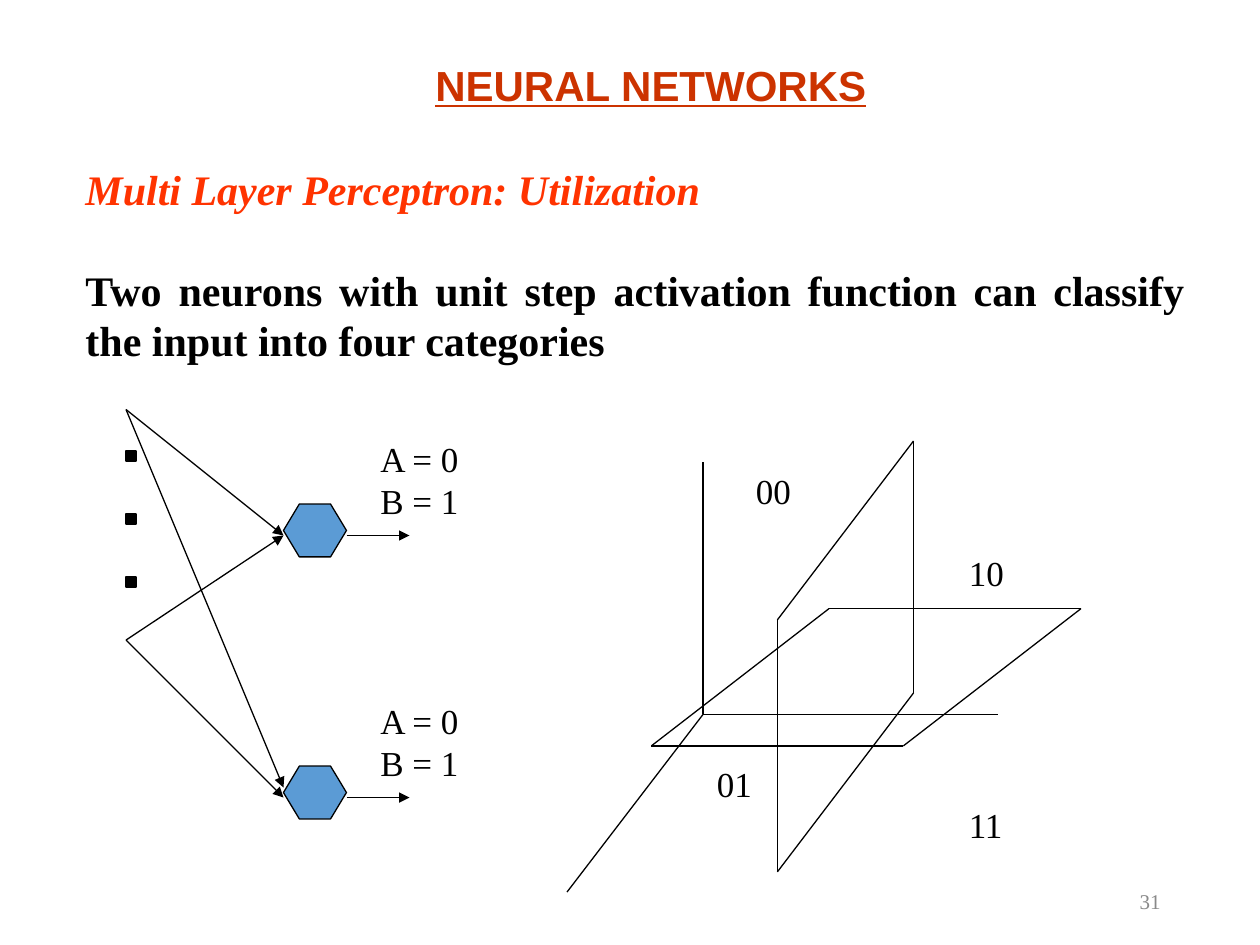
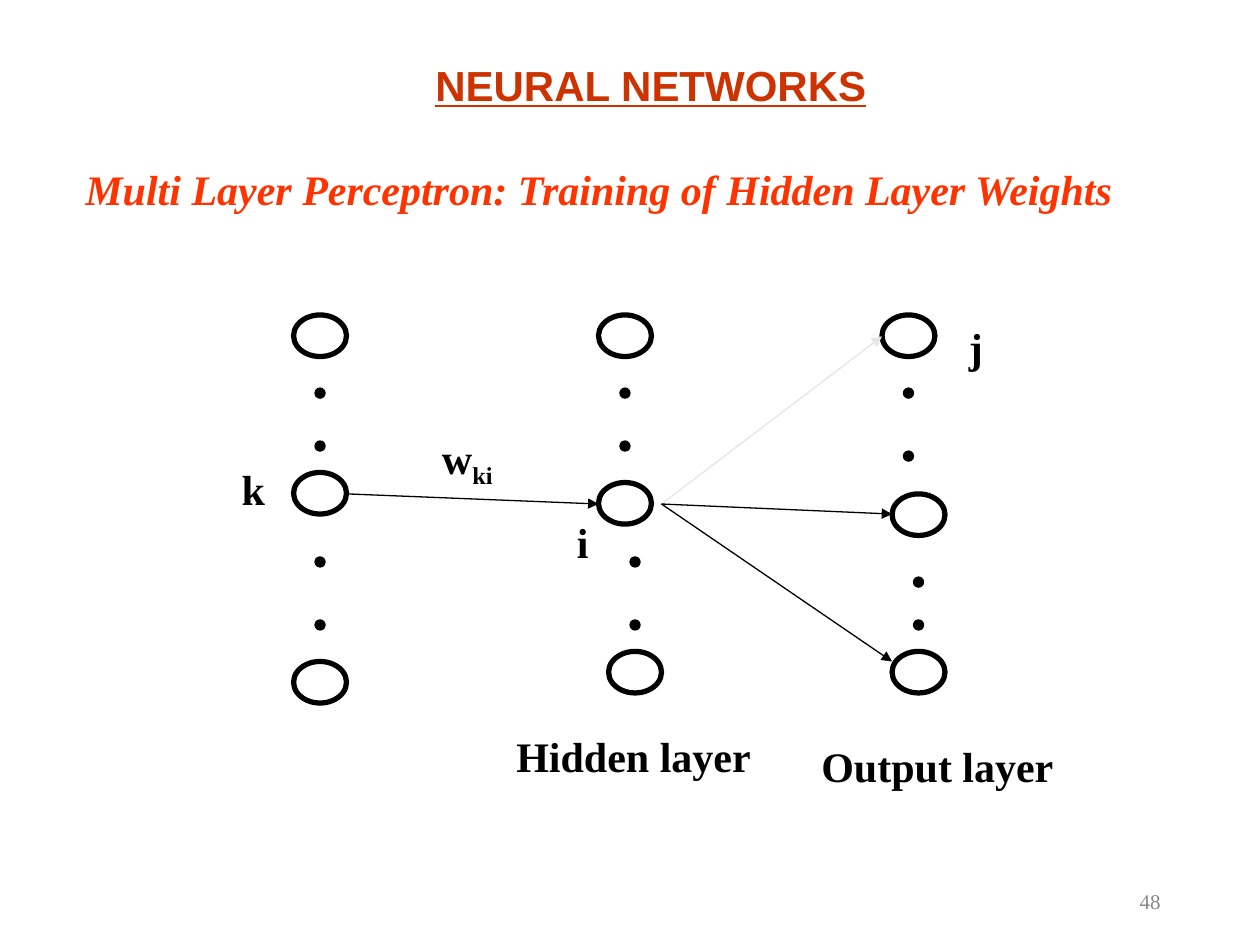
from itertools import pairwise
from lxml import etree
from pptx import Presentation
from pptx.dml.color import RGBColor as RGB
from pptx.enum import shapes, text
from pptx.oxml.ns import qn
from pptx.util import Inches, Pt

HUES = {"title": "CC3300", "head": "FF3300", "ink": "000000",
        "node": "5B9BD5", "page": "898989", "faint": "E7E6E6"}
SERIF = "Times New Roman"
KIND = shapes.MSO_SHAPE
SIDE = text.PP_ALIGN


def write(slide, box, lines, size=24, hue="ink", bold=False, face=SERIF,
          side=SIDE.LEFT, wrap=False):
    shape = slide.shapes.add_textbox(*map(Inches, box))
    frame = shape.text_frame
    frame.word_wrap = wrap
    frame.auto_size = text.MSO_AUTO_SIZE.SHAPE_TO_FIT_TEXT
    frame.text = lines
    for para in frame.paragraphs:
        para.alignment = side
        font = para.font
        font.name, font.size, font.bold = face, Pt(size), bold
        font.color.rgb = RGB.from_string(HUES[hue])
    return frame


def draw(slide, start, end, arrow=False, hue="ink"):
    line = slide.shapes.add_connector(
        shapes.MSO_CONNECTOR.STRAIGHT, *map(Inches, start + end))
    line.line.color.rgb = RGB.from_string(HUES[hue])
    line.line.width = Pt(0.75)
    props = line._element.spPr
    if arrow:
        etree.SubElement(props.find(qn("a:ln")), qn("a:tailEnd"), type="triangle")
    etree.SubElement(props, qn("a:effectLst"))


deck = Presentation()
deck.slide_width, deck.slide_height = Inches(10), Inches(7.5)

# Page number, title and heading on each slide
heads = []
for num, head, width in [
        ("31", "Multi Layer Perceptron: Utilization", 8.92),
        ("48", "Multi Layer Perceptron: Training of Hidden Layer Weights", 9)]:
    slide = deck.slides.add_slide(deck.slide_layouts[6])
    page = write(slide, (7.06, 6.95, 2.25, 0.4), num, 12, "page",
                 side=SIDE.RIGHT, wrap=True)
    page.auto_size = text.MSO_AUTO_SIZE.NONE
    page.vertical_anchor = text.MSO_ANCHOR.MIDDLE
    title = write(slide, (1.25, 0.42, 7.83, 0.5), "NEURAL NETWORKS", 24, "title",
                  True, "Arial", SIDE.CENTER, True)
    title.paragraphs[0].font.underline = True
    frame = write(slide, (0.58, 1.25, width, 0.5), head, 24, "head", True,
                  side=SIDE.JUSTIFY, wrap=True)
    frame.paragraphs[0].font.italic = True
    heads.append(frame)
use, train = deck.slides

# Claim under the first heading
claim = heads[0].add_paragraph()
claim.text = ("Two neurons with unit step activation function can classify "
              "the input into four categories")
claim.alignment = SIDE.JUSTIFY
claim.space_before = Pt(28.8)
claim.font.name, claim.font.size, claim.font.bold = SERIF, Pt(24), True
claim.font.color.rgb = RGB.from_string(HUES["ink"])
use.shapes[2].height = Inches(1.7)

# Neurons, nodes and dots: slide, kind, width, height, fill, line width, places
rows = (4, 6.08)
nodes = [(2.33, 2.5), (2.33, 3.75), (2.33, 5.25),
         (4.75, 2.5), (4.75, 3.83), (4.83, 5.17),
         (7, 2.5), (7.08, 3.92), (7.08, 5.17)]
dots = [(2.5, 3.08), (2.5, 3.5), (2.5, 4.42), (2.5, 4.92),
        (4.92, 3.08), (4.92, 3.5), (5, 4.42), (5, 4.92),
        (7.17, 3.08), (7.17, 3.58), (7.25, 4.58), (7.25, 4.92)]
for slide, kind, wide, high, fill, rim, spots in [
        (use, KIND.HEXAGON, 0.5, 0.42, "node", 0.75, [(2.25, y) for y in rows]),
        (use, KIND.RECTANGLE, 0.08, 0.08, "ink", 0.75,
         [(1, 3.58 + 0.5 * i) for i in range(3)]),
        (train, KIND.OVAL, 0.42, 0.33, None, 3, nodes),
        (train, KIND.OVAL, 0.08, 0.08, "ink", 0.75, dots)]:
    for x, y in spots:
        mark = slide.shapes.add_shape(kind, *map(Inches, (x, y, wide, high)))
        mark.shadow.inherit = False
        if kind == KIND.HEXAGON:
            mark.adjustments[0] = 0.3
        if fill:
            mark.fill.solid()
            mark.fill.fore_color.rgb = RGB.from_string(HUES[fill])
        else:
            mark.fill.background()
        mark.line.color.rgb = RGB.from_string(HUES["ink"])
        mark.line.width = Pt(rim)

# Inputs and outputs of the two neurons
for y in rows:
    draw(use, (2.75, y + 0.25), (3.25, y + 0.25), True)
    write(use, (2.92, y - 0.58, 0.83, 0.77), "A = 0\nB = 1", 20)
for start, ends in [(3.25, (4.25, 6.25)), (5.08, (4.25, 6.33))]:
    for end in ends:
        draw(use, (1, start), (2.25, end), True)

# Axes of the input space
for end in [(5.58, 3.67), (7.92, 5.67), (4.5, 7.08)]:
    draw(use, (5.58, 5.67), end)

# Two planes that cut it into four categories
for plane in [[(7.25, 3.5), (6.17, 4.92), (6.17, 6.92), (7.25, 5.5)],
              [(8.58, 4.83), (7.17, 5.92), (5.17, 5.92), (6.58, 4.83)]]:
    for start, end in pairwise(plane + plane[:1]):
        draw(use, start, end)
for code, x, y in [("00", 5.9, 3.68), ("10", 7.59, 4.33),
                   ("01", 5.59, 6), ("11", 7.59, 6.33)]:
    write(use, (x, y, 0.48, 0.44), code, 20)

# Weights between the layers
draw(train, (2.75, 3.92), (4.75, 4), True)
for end, hue in [((7, 2.67), "faint"), ((7.08, 4.08), "ink"), ((7.08, 5.25), "ink")]:
    draw(train, (5.25, 4), end, True, hue)

# Labels of nodes and layers
for label, x, y, wide in [("k", 1.82, 3.63, 0.38), ("i", 4.48, 4.05, 0.29),
                          ("j", 7.59, 2.5, 0.31), ("Hidden layer", 4, 5.75, 2.06),
                          ("Output layer", 6.42, 5.83, 2.04)]:
    write(train, (x, y, wide, 0.5), label, bold=True)
weight = write(train, (3.41, 3.38, 0.6, 0.56), "w", bold=True)
sub = weight.paragraphs[0].add_run()
sub.text = "ki"
sub._r.get_or_add_rPr().set("baseline", "-25000")

deck.save("out.pptx")
